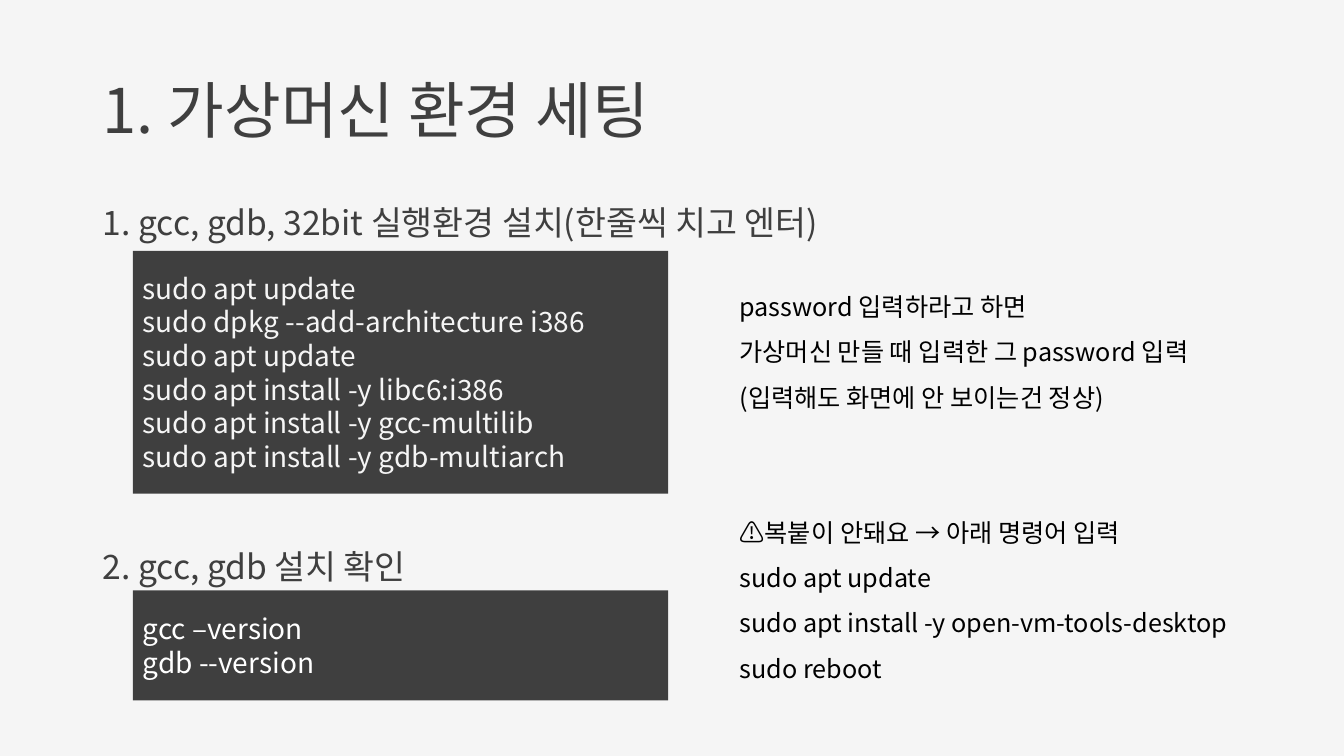
from lxml import etree
from pptx import Presentation
from pptx.dml.color import RGBColor
from pptx.enum.shapes import MSO_SHAPE
from pptx.enum.text import MSO_ANCHOR, MSO_AUTO_SIZE, PP_ALIGN
from pptx.oxml.ns import qn
from pptx.util import Cm, Pt

RECTANGLE = MSO_SHAPE.RECTANGLE
TOP, MIDDLE = MSO_ANCHOR.TOP, MSO_ANCHOR.MIDDLE
FIXED, GROW = MSO_AUTO_SIZE.NONE, MSO_AUTO_SIZE.SHAPE_TO_FIT_TEXT
LEFT = PP_ALIGN.LEFT

COLORS = {"paper": "F5F5F5", "dark": "3F3F3F", "white": "FFFFFF", "black": "000000"}
FONT = "Noto Sans CJK KR"
MARGIN, CODE_LEFT, NOTE_LEFT = 2.34, 3.35, 18.39
CODE_WIDTH, NOTE_WIDTH, HEADING_HEIGHT = 13.49, 14.35, 1.78


def color(name):
    return RGBColor.from_string(COLORS[name])


class SetupSlide:
    def __init__(self, presentation):
        self.slide = presentation.slides.add_slide(presentation.slide_layouts[6])
        self.slide.background.fill.solid()
        self.slide.background.fill.fore_color.rgb = color("paper")

    def fill_text(self, frame, lines, size, ink, spacing=1.0, anchor=TOP, fit=FIXED):
        frame_format = {"word_wrap": True, "vertical_anchor": anchor, "auto_size": fit}
        for key, value in frame_format.items():
            setattr(frame, key, value)
        for index, line in enumerate(lines):
            paragraph = frame.add_paragraph() if index else frame.paragraphs[0]
            paragraph.text = line
            paragraph.alignment = LEFT
            paragraph.line_spacing = spacing
            for run in paragraph.runs:
                for key, value in {"size": Pt(size), "name": FONT}.items():
                    setattr(run.font, key, value)
                run.font.color.rgb = color(ink)
                etree.SubElement(run._r.get_or_add_rPr(), qn("a:ea"), typeface=FONT)

    def text(self, box, lines, size, ink, **layout):
        textbox = self.slide.shapes.add_textbox(*map(Cm, box))
        self.fill_text(textbox.text_frame, lines, size, ink, **layout)

    def title(self, line):
        self.text((MARGIN, 1.02, 29.21, 3.68), [line], 44, "dark", spacing=0.9, anchor=MIDDLE)

    def heading(self, top, width, line, spacing):
        self.text((MARGIN, top, width, HEADING_HEIGHT), [line], 24, "dark", spacing=spacing)

    def note(self, top, height, lines):
        self.text((NOTE_LEFT, top, NOTE_WIDTH, height), lines, 18, "black", spacing=1.5, fit=GROW)

    def code(self, top, height, commands, ink):
        panel = self.slide.shapes.add_shape(
            RECTANGLE, *map(Cm, (CODE_LEFT, top, CODE_WIDTH, height)))
        panel.shadow.inherit = False
        panel.fill.solid()
        panel.fill.fore_color.rgb = color("dark")
        panel.line.fill.background()
        self.fill_text(panel.text_frame, commands, 20, ink, anchor=MIDDLE)


def main():
    presentation = Presentation()
    presentation.slide_width, presentation.slide_height = Cm(33.87), Cm(19.05)
    setup = SetupSlide(presentation)

    setup.title("1. 가상머신 환경 세팅")
    setup.code(6.32, 6.12, [
        "sudo apt update",
        "sudo dpkg --add-architecture i386",
        "sudo apt update",
        "sudo apt install -y libc6:i386",
        "sudo apt install -y gcc-multilib",
        "sudo apt install -y gdb-multiarch",
    ], "paper")
    setup.code(14.88, 2.77, ["gcc –version", "gdb --version"], "white")
    setup.heading(4.55, 23.11, "1. gcc, gdb, 32bit 실행환경 설치(한줄씩 치고 엔터)", 1.4)
    setup.heading(13.13, 14.61, "2. gcc, gdb 설치 확인", 1.5)
    setup.note(6.83, 3.58, [
        "password 입력하라고 하면",
        "가상머신 만들 때 입력한 그 password 입력",
        "(입력해도 화면에 안 보이는건 정상)",
    ])
    setup.note(12.52, 4.72, [
        "⚠️복붙이 안돼요 → 아래 명령어 입력\nsudo apt update",
        "sudo apt install -y open-vm-tools-desktop",
        "sudo reboot",
    ])
    presentation.save("out.pptx")


if __name__ == "__main__":
    main()
